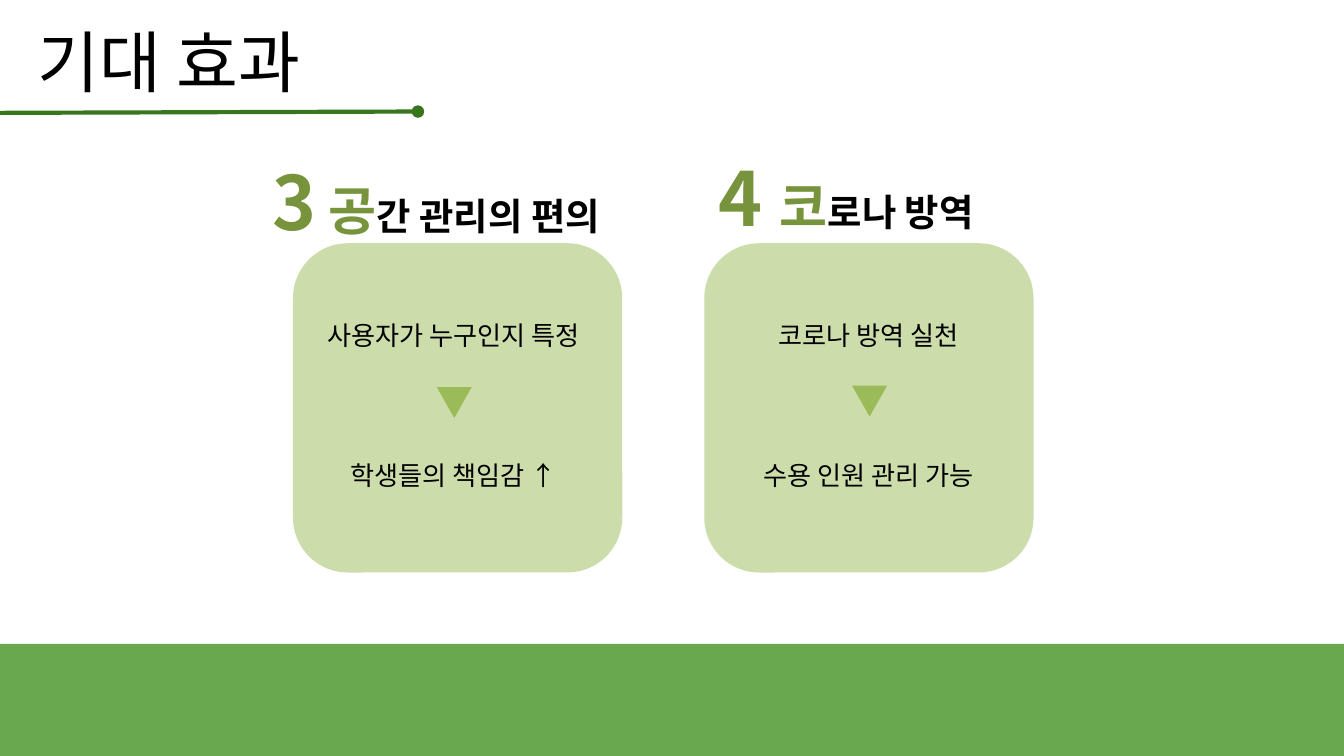
from lxml import etree
from pptx import Presentation
from pptx.dml.color import RGBColor
from pptx.enum import shapes as kinds, text as txt
from pptx.oxml.ns import qn
from pptx.util import Inches, Pt

FONT = "Noto Sans CJK KR"
BLACK = RGBColor(0x00, 0x00, 0x00)
OLIVE = RGBColor(0x77, 0x93, 0x3C)
LEAF = RGBColor(0x9B, 0xBB, 0x59)
DARK_GREEN = RGBColor(0x38, 0x76, 0x1D)
FOOTER_GREEN = RGBColor(0x6A, 0xA8, 0x4F)


def write(box, paragraphs, *, align=txt.PP_ALIGN.LEFT, spacing=1.0, gap=0,
          bold=False):
    """Fill a box; each paragraph is a list of (text, size, colour) runs."""
    frame = box.text_frame
    frame.word_wrap = True
    frame.auto_size = txt.MSO_AUTO_SIZE.NONE
    frame.vertical_anchor = txt.MSO_ANCHOR.TOP
    frame.margin_left = frame.margin_right = Inches(0.1)
    frame.margin_top = frame.margin_bottom = Inches(0.1)
    for index, runs in enumerate(paragraphs):
        paragraph = frame.add_paragraph() if index else frame.paragraphs[0]
        paragraph.alignment = align
        paragraph.line_spacing = spacing
        paragraph.space_before = Pt(gap if index else 0)
        for words, size, colour in runs:
            run = paragraph.add_run()
            run.text = words
            run.font.size = Pt(size)
            run.font.bold = bold
            run.font.name = FONT
            run.font.color.rgb = colour
            # Korean letters use the East Asian font slot
            east_asian = etree.SubElement(run.font._element, qn("a:ea"))
            east_asian.set("typeface", FONT)


def add_text(slide, left, top, width, height, paragraphs, **fmt):
    box = slide.shapes.add_textbox(
        Inches(left), Inches(top), Inches(width), Inches(height))
    write(box, paragraphs, **fmt)


def add_block(slide, kind, left, top, width, height, colour, opacity=None):
    block = slide.shapes.add_shape(
        kind, Inches(left), Inches(top), Inches(width), Inches(height))
    block.shadow.inherit = False
    block.fill.solid()
    block.fill.fore_color.rgb = colour
    block.line.fill.background()
    if opacity is not None:
        tint = block.fill._xPr.find(".//" + qn("a:srgbClr"))
        etree.SubElement(tint, qn("a:alpha")).set("val", str(opacity * 1000))
    return block


def add_title(slide, words):
    title = slide.shapes.title
    title.left, title.top = Inches(0.18), Inches(0.05)
    title.width, title.height = Inches(2.54), Inches(0.66)
    write(title, [[(words, 36, BLACK)]])

    # Underline ending in a dot
    underline = slide.shapes.add_connector(
        kinds.MSO_CONNECTOR.STRAIGHT,
        Inches(-0.01), Inches(0.84), Inches(3.11), Inches(0.83))
    underline.line.color.rgb = DARK_GREEN
    underline.line.width = Pt(2.25)
    dot = etree.SubElement(underline.line._get_or_add_ln(), qn("a:tailEnd"))
    dot.set("type", "oval")
    etree.SubElement(underline._element.spPr, qn("a:effectLst"))


def add_heading(slide, left, top, width, number, initial, rest):
    runs = [(number, 40, OLIVE), (initial, 28, OLIVE), (rest, 20, BLACK)]
    add_text(slide, left, top, width, 0.35, [runs], bold=True)


def add_card(slide, left, text_left, arrow_left, arrow_top, cause, effect):
    add_block(slide, kinds.MSO_SHAPE.ROUNDED_RECTANGLE,
              left, 1.81, 2.45, 2.45, LEAF, opacity=50)
    add_text(slide, text_left, 2.16, 2.17, 0.88,
             [[(cause, 14, BLACK)], [(effect, 14, BLACK)]],
             align=txt.PP_ALIGN.CENTER, spacing=1.5, gap=50)
    arrow = add_block(slide, kinds.MSO_SHAPE.ISOSCELES_TRIANGLE,
                      arrow_left, arrow_top, 0.26, 0.23, LEAF)
    arrow.rotation = 180


def main():
    deck = Presentation()
    # Widescreen, 16:9
    deck.slide_width = Inches(10)
    deck.slide_height = Inches(10) * 9 // 16
    slide = deck.slides.add_slide(deck.slide_layouts.get_by_name("Title Only"))

    add_title(slide, "기대 효과")
    add_block(slide, kinds.MSO_SHAPE.RECTANGLE, 0, 4.79, 10, 0.85, FOOTER_GREEN)

    # Effect 3: easier space management
    add_heading(slide, 1.93, 1.06, 2.89, "3", " 공", "간 관리의 편의")
    add_card(slide, 2.18, 2.29, 3.25, 2.88,
             "사용자가 누구인지 특정", "학생들의 책임감 ↑")

    # Effect 4: infection control
    add_heading(slide, 5.25, 1.03, 2.45, "4 ", "코", "로나 방역")
    add_card(slide, 5.24, 5.38, 6.34, 2.87,
             "코로나 방역 실천", "수용 인원 관리 가능")

    deck.save("out.pptx")


if __name__ == "__main__":
    main()
